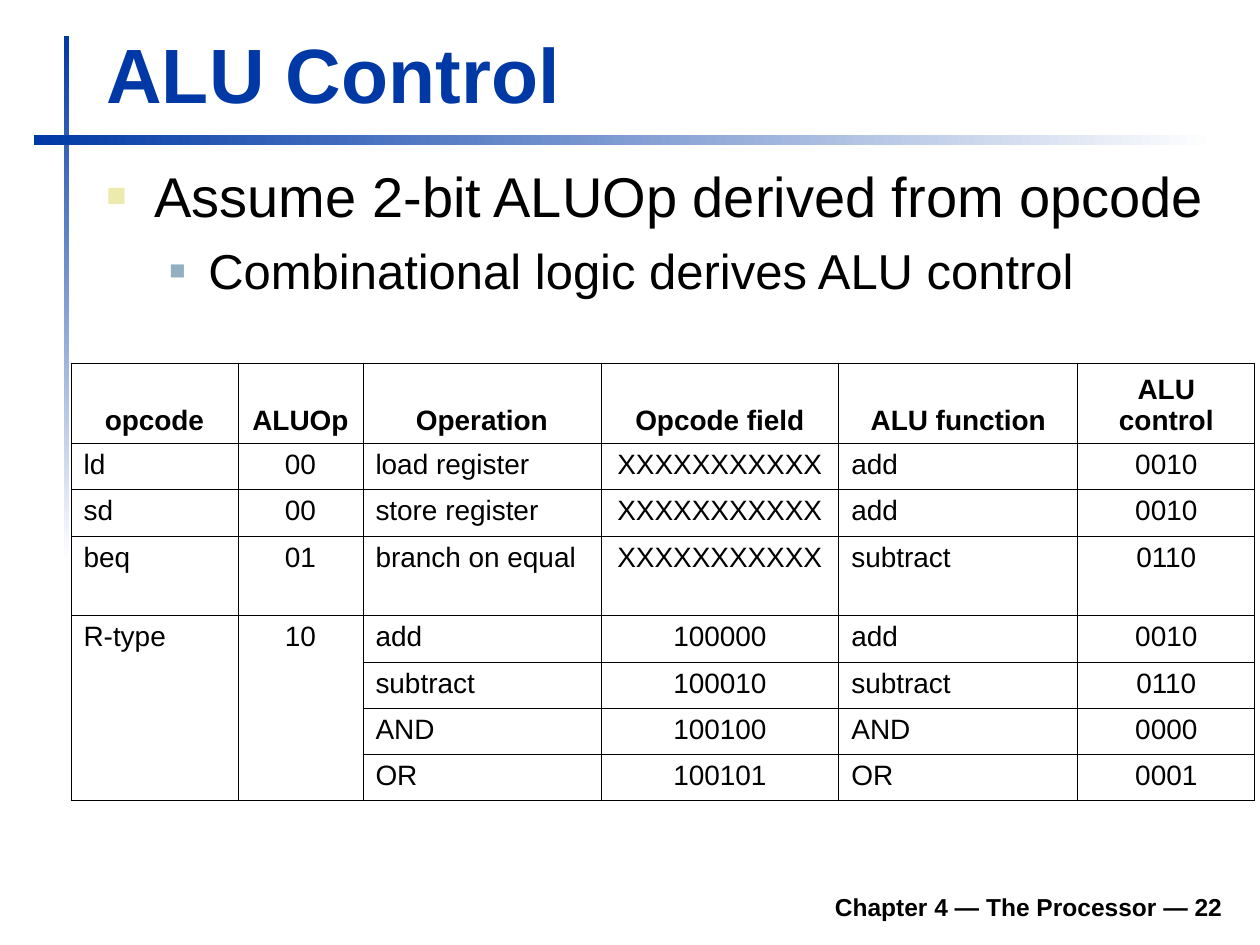
"""Builds the ALU Control slide with its bullets and control table."""
from pptx import Presentation
from pptx.dml.color import RGBColor as RGB
from pptx.enum.shapes import MSO_SHAPE as Shape
from pptx.enum.text import MSO_ANCHOR as Anchor, MSO_AUTO_SIZE as Fit, PP_ALIGN as Align
from pptx.oxml import parse_xml
from pptx.oxml.ns import nsdecls
from pptx.util import Emu, Pt

HUES = {"blue": "0039A6", "white": "FFFFFF", "black": "000000",
        "sand": "ECEAAC", "steel": "91AFBF"}
COLS = [167, 125, 238, 238, 239, 177]
ROWS = [80, 46, 47, 79, 47, 46, 46, 47]
CENTRED = {1, 3, 5}
ANY = "X" * 11
CELLS = [
    ["opcode", "ALUOp", "Operation", "Opcode field", "ALU function", "ALU control"],
    ["ld", "00", "load register", ANY, "add", "0010"],
    ["sd", "00", "store register", ANY, "add", "0010"],
    ["beq", "01", "branch on equal", ANY, "subtract", "0110"],
    ["R-type", "10", "add", "100000", "add", "0010"],
    ["", "", "subtract", "100010", "subtract", "0110"],
    ["", "", "AND", "100100", "AND", "0000"],
    ["", "", "OR", "100101", "OR", "0001"],
]
BULLETS = [("Assume 2-bit ALUOp derived from opcode", 32, "sand", 60, 48, 48, 0),
           ("Combinational logic derives ALU control", 28, "steel", 55, 102, 39, 7)]


def px(n):
    return Emu(round(n * 914400 / 126))


class Deck:
    def __init__(self, wide, high):
        self.file = Presentation()
        self.file.slide_width, self.file.slide_height = px(wide), px(high)
        self.slide = self.file.slides.add_slide(self.file.slide_layouts[6])
        self.face = "Arial"

    def style(self, para, size, hue="black", bold=False, align=Align.LEFT):
        para.alignment = align
        for run in para.runs:
            font = run.font
            font.name, font.size, font.bold = self.face, Pt(size), bold
            font.color.rgb = RGB.from_string(HUES[hue])

    def bar(self, x, y, w, h, angle):
        bar = self.slide.shapes.add_shape(Shape.RECTANGLE, px(x), px(y), px(w), px(h))
        bar.shadow.inherit = False
        bar.line.fill.background()
        bar.fill.gradient()
        bar.fill.gradient_angle = angle
        for stop, hue in zip(bar.fill.gradient_stops, ("blue", "white")):
            stop.color.rgb = RGB.from_string(HUES[hue])

    def box(self, x, y, w, h, anchor):
        box = self.slide.shapes.add_textbox(px(x), px(y), px(w), px(h))
        frame = box.text_frame
        frame.word_wrap, frame.auto_size = True, Fit.NONE
        frame.vertical_anchor = anchor
        return frame

    def label(self, x, y, w, h, text, size, hue="black", align=Align.LEFT):
        frame = self.box(x, y, w, h, Anchor.BOTTOM)
        frame.text = text
        self.style(frame.paragraphs[0], size, hue, True, align)

    def bullets(self, x, y, w, h, items):
        frame = self.box(x, y, w, h, Anchor.TOP)
        frame.text = "\n".join(item[0] for item in items)
        for level, (para, item) in enumerate(zip(frame.paragraphs, items)):
            _, size, hue, scale, left, hang, gap = item
            para.level = level
            props = para._p.get_or_add_pPr()
            props.set("marL", str(px(left)))
            props.set("indent", str(-px(hang)))
            for mark in (f'<a:buClr {nsdecls("a")}><a:srgbClr val="{HUES[hue]}"/></a:buClr>',
                         f'<a:buSzPct {nsdecls("a")} val="{scale * 1000}"/>',
                         f'<a:buFont {nsdecls("a")} typeface="{self.face}"/>',
                         f'<a:buChar {nsdecls("a")} char="■"/>'):
                props.append(parse_xml(mark))
            para.space_before = Pt(gap)
            self.style(para, size)

    def frame(self, cell):
        props = cell._tc.get_or_add_tcPr()
        for side in "LRTB":
            props.append(parse_xml(
                f'<a:ln{side} {nsdecls("a")} w="{Pt(0.45)}"><a:solidFill>'
                f'<a:srgbClr val="{HUES["black"]}"/></a:solidFill></a:ln{side}>'))
        cell.fill.background()

    def table(self, x, y, cols, rows, texts):
        grid = self.slide.shapes.add_table(len(rows), len(cols), px(x), px(y),
                                           px(sum(cols)), px(sum(rows))).table
        grid.first_row = grid.horz_banding = False
        for col, wide in zip(grid.columns, cols):
            col.width = px(wide)
        for r, (row, high) in enumerate(zip(grid.rows, rows)):
            row.height = px(high)
            for c, cell in enumerate(row.cells):
                head = r == 0
                cell.text = texts[r][c]
                cell.vertical_anchor = Anchor.BOTTOM if head else Anchor.TOP
                align = Align.CENTER if head or c in CENTRED else Align.LEFT
                self.style(cell.text_frame.paragraphs[0], 16, bold=head, align=align)
                self.frame(cell)
        for c in range(2):
            grid.cell(4, c).merge(grid.cell(7, c))


def main():
    deck = Deck(1260, 945)
    deck.bar(64, 36, 5, 525, 270)
    deck.bar(34, 135, 1181, 10, 0)
    deck.label(233, 879, 1002, 49, "Chapter 4 — The Processor — 22", 14, align=Align.RIGHT)
    deck.label(94, 20, 1138, 105, "ALU Control", 44, "blue")
    deck.bullets(94, 155, 1139, 704, BULLETS)
    deck.table(71, 363, COLS, ROWS, CELLS)
    deck.file.save("out.pptx")


if __name__ == "__main__":
    main()
